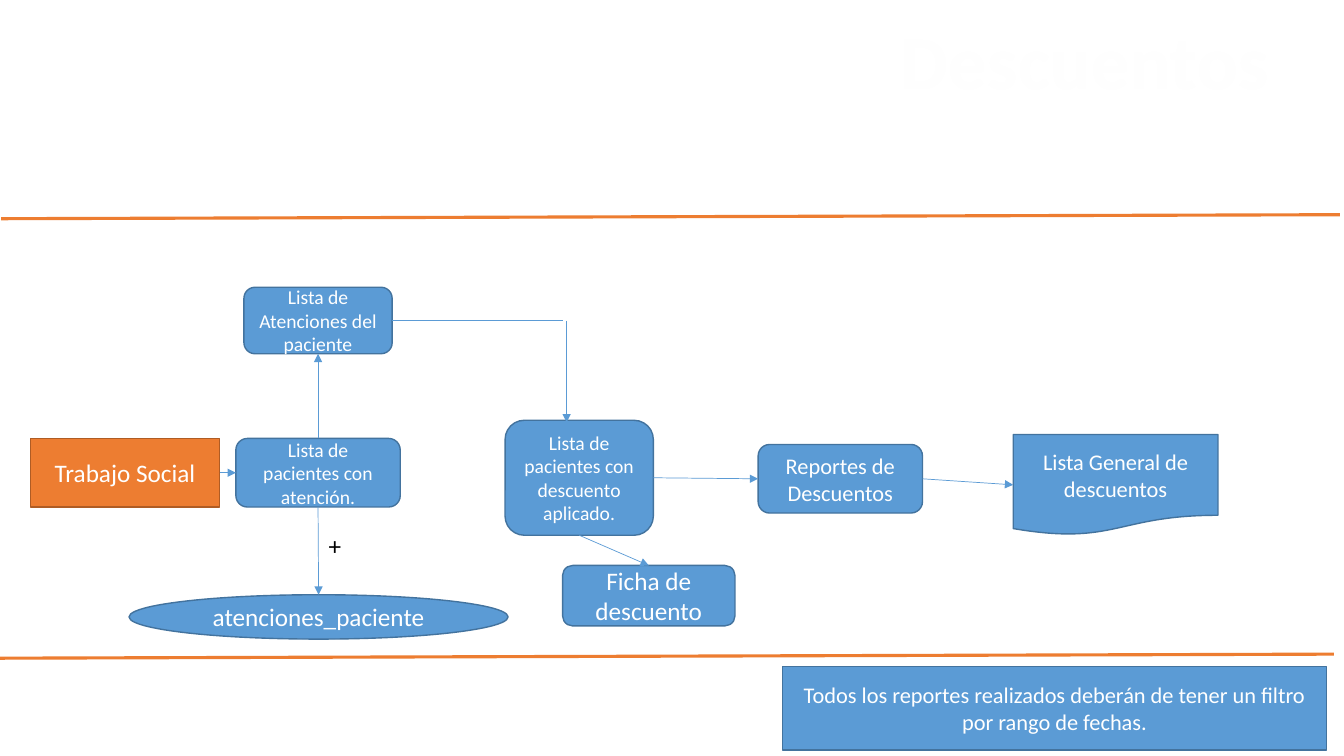
from dataclasses import dataclass
from typing import Any, Optional

from lxml.etree import SubElement
from pptx import Presentation
from pptx.dml.color import RGBColor
from pptx.enum.shapes import MSO_CONNECTOR, MSO_SHAPE
from pptx.enum.text import MSO_ANCHOR, MSO_AUTO_SIZE, PP_ALIGN
from pptx.oxml import parse_xml
from pptx.oxml.ns import nsdecls, qn
from pptx.util import Inches, Pt

WIDTH, HEIGHT = Inches(13.33), Inches(7.5)
FONT = "Calibri"
BLUE = RGBColor(0x5B, 0x9B, 0xD5)
NAVY = RGBColor(0x43, 0x73, 0x9E)
ORANGE = RGBColor(0xED, 0x7D, 0x31)
BROWN = RGBColor(0xAF, 0x5C, 0x24)
PALE = RGBColor(0x9D, 0xC3, 0xE6)
PEARL = RGBColor(0xFE, 0xFE, 0xFE)
WHITE = RGBColor(0xFF, 0xFF, 0xFF)
BLACK = RGBColor(0x00, 0x00, 0x00)
TOP, LEFT, BOTTOM, RIGHT = range(4)


# Positions and sizes are percentages of the slide's width and height
@dataclass
class Node:
    name: str
    text: str
    left: float
    top: float
    width: float
    height: float
    size: int
    form: MSO_SHAPE = MSO_SHAPE.ROUNDED_RECTANGLE
    fill: RGBColor = BLUE
    edge: RGBColor = NAVY


@dataclass
class Link:
    start: str
    out: int
    end: str
    into: int


@dataclass
class Stroke:
    start: tuple[float, float]
    end: tuple[float, float]
    color: RGBColor = BLUE
    weight: float = 0.5
    arrow: bool = False


NODES = [
    Node("social", "Trabajo Social", 2.25, 58, 14.1, 9.07, 18,
         MSO_SHAPE.RECTANGLE, ORANGE, BROWN),
    Node("patients", "Lista de pacientes con atención.",
         17.55, 58, 12.23, 9.07, 14),
    Node("visits", "Lista de Atenciones del paciente",
         18.15, 38, 11.03, 8.8, 14),
    Node("table", "atenciones_paciente", 9.6, 78.67, 28.21, 5.87, 18,
         MSO_SHAPE.OVAL),
    Node("applied", "Lista de pacientes con descuento aplicado.",
         37.58, 55.6, 11.03, 15.2, 14),
    Node("form", "Ficha de descuento", 41.86, 74.8, 12.83, 8, 18),
    Node("reports", "Reportes de Descuentos", 56.41, 58.8, 12.23, 9.07, 16),
    Node("general", "Lista General de descuentos",
         75.39, 57.47, 15.23, 13.33, 16, MSO_SHAPE.FLOWCHART_DOCUMENT),
    Node("note", "Todos los reportes realizados deberán de tener un filtro "
         "por rango de fechas.", 58.21, 88.13, 40.51, 11.07, 16,
         MSO_SHAPE.RECTANGLE),
]
LINKS = [
    Link("social", RIGHT, "patients", LEFT),
    Link("patients", TOP, "visits", BOTTOM),
    Link("patients", BOTTOM, "table", TOP),
    Link("applied", RIGHT, "reports", LEFT),
    Link("applied", BOTTOM, "form", TOP),
    Link("reports", RIGHT, "general", LEFT),
]
RULES = [
    Stroke((0.08, 28.93), (99.7, 28.4), ORANGE, 2.25),
    Stroke((-0.45, 87.07), (99.25, 86.53), ORANGE, 2.25),
]
ELBOW = Stroke((29.18, 42.4), (41.86, 42.4))
DROP = Stroke((42.16, 42.4), (42.16, 55.87), arrow=True)


def across(share: float) -> int:
    return round(WIDTH * share / 100)


def down(share: float) -> int:
    return round(HEIGHT * share / 100)


def apply(target: Any, values: dict[str, Any]) -> None:
    for key, value in values.items():
        setattr(target, key, value)


def write(shape: Any, text: str, size: int, color: RGBColor,
          align: Optional[PP_ALIGN] = PP_ALIGN.CENTER, bold: bool = False,
          **frame: Any) -> Any:
    apply(shape.text_frame, frame)
    par = shape.text_frame.paragraphs[0]
    par.alignment = align
    run = par.add_run()
    run.text = text
    apply(run.font, {"name": FONT, "size": Pt(size), "bold": bold})
    run.font.color.rgb = color
    return run


def draw_node(shapes: Any, node: Node) -> Any:
    shape = shapes.add_shape(node.form, across(node.left), down(node.top),
                             across(node.width), down(node.height))
    shape.shadow.inherit = False
    shape.fill.solid()
    shape.fill.fore_color.rgb = node.fill
    shape.line.color.rgb = node.edge
    shape.line.width = Pt(1)
    write(shape, node.text, node.size, WHITE, word_wrap=True,
          vertical_anchor=MSO_ANCHOR.MIDDLE)
    return shape


def draw_line(shapes: Any, stroke: Stroke) -> Any:
    (x1, y1), (x2, y2) = stroke.start, stroke.end
    line = shapes.add_connector(MSO_CONNECTOR.STRAIGHT, across(x1), down(y1),
                                across(x2), down(y2))
    line.line.color.rgb = stroke.color
    line.line.width = Pt(stroke.weight)
    if stroke.arrow:
        SubElement(line.line._get_or_add_ln(), qn("a:tailEnd"),
                   type="triangle")
    SubElement(line._element.spPr, qn("a:effectLst"))
    return line


def draw_title(title: Any) -> None:
    apply(title, {"left": across(66.09), "top": down(1.2),
                  "width": across(29.26), "height": down(13.47)})
    run = write(title, "Descuentos", 54, PEARL, bold=True, word_wrap=False,
                vertical_anchor=MSO_ANCHOR.TOP,
                auto_size=MSO_AUTO_SIZE.SHAPE_TO_FIT_TEXT)
    # Outlined letters with a pale shadow
    props = run.font._element
    props.set("spc", "50")
    props.insert(0, parse_xml(
        f'<a:ln {nsdecls("a")} w="9525"><a:solidFill>'
        f'<a:srgbClr val="{BLUE}"/></a:solidFill></a:ln>'))
    props.insert(2, parse_xml(
        f'<a:effectLst {nsdecls("a")}><a:outerShdw blurRad="12700" '
        f'dist="38100" dir="2700000"><a:srgbClr val="{PALE}"/>'
        '</a:outerShdw></a:effectLst>'))


def main() -> None:
    deck = Presentation()
    apply(deck, {"slide_width": WIDTH, "slide_height": HEIGHT})
    slide = deck.slides.add_slide(deck.slide_layouts[5])
    shapes = slide.shapes
    draw_title(shapes.title)

    # Dividing rules
    for rule in RULES:
        draw_line(shapes, rule)

    # Flow steps and the arrows between them
    nodes = {node.name: draw_node(shapes, node) for node in NODES}
    for link in LINKS:
        line = draw_line(shapes, Stroke((0, 0), (0, 0), arrow=True))
        line.begin_connect(nodes[link.start], link.out)
        line.end_connect(nodes[link.end], link.into)

    # Bent route from the visits to the applied discounts
    draw_line(shapes, ELBOW).begin_connect(nodes["visits"], RIGHT)
    draw_line(shapes, DROP)

    # Plus sign
    plus = shapes.add_textbox(across(23.71), down(69.47),
                              across(2.03), down(5.33))
    write(plus, "+", 18, BLACK, PP_ALIGN.LEFT, word_wrap=True,
          auto_size=MSO_AUTO_SIZE.SHAPE_TO_FIT_TEXT)

    deck.save("out.pptx")


if __name__ == "__main__":
    main()
